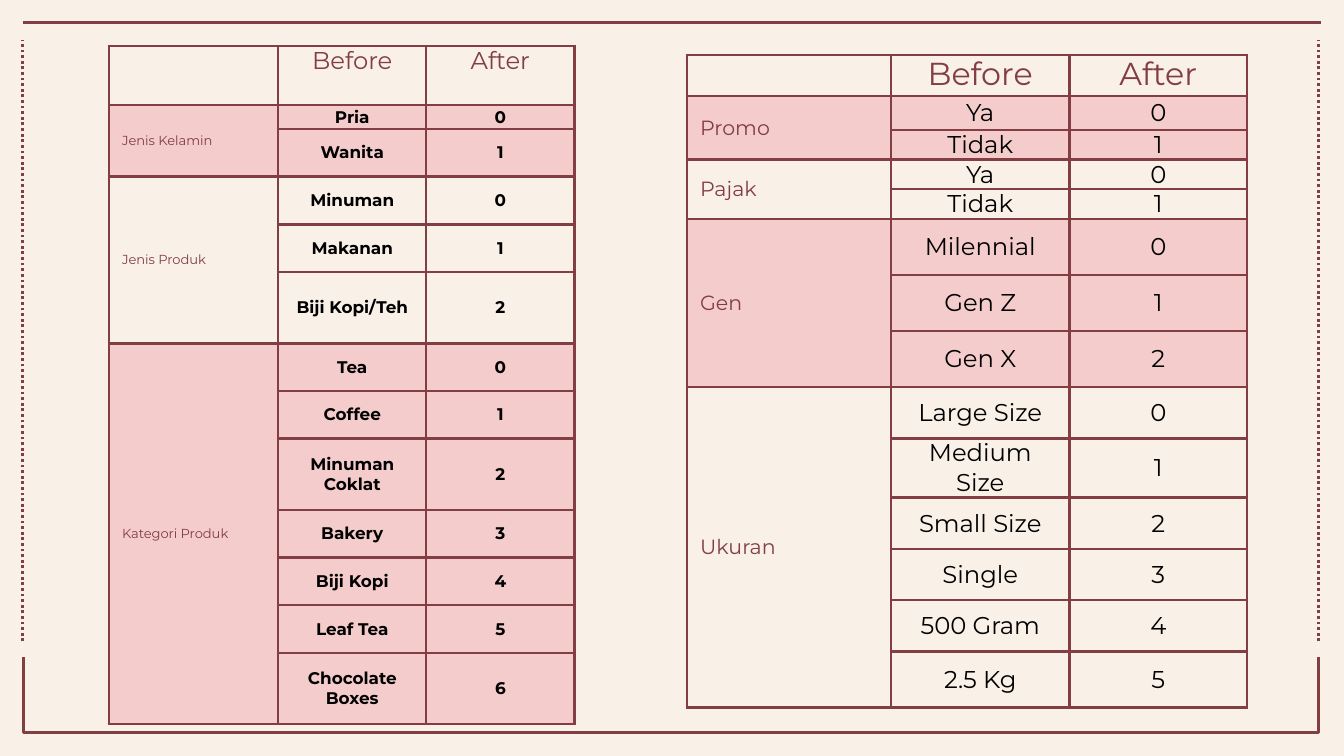
from dataclasses import dataclass

from lxml import etree
from pptx import Presentation
from pptx.dml.color import RGBColor
from pptx.enum.dml import MSO_LINE
from pptx.enum.shapes import MSO_CONNECTOR
from pptx.enum.text import MSO_ANCHOR, PP_ALIGN
from pptx.oxml.ns import qn
from pptx.slide import Slide
from pptx.table import _Cell
from pptx.util import Cm, Pt

CENTER, LEFT = PP_ALIGN.CENTER, PP_ALIGN.LEFT
TOP, MIDDLE = MSO_ANCHOR.TOP, MSO_ANCHOR.MIDDLE
STRAIGHT = MSO_CONNECTOR.STRAIGHT
DOT = MSO_LINE.ROUND_DOT
COLORS = {"paper": "F9F0E8", "wine": "823E43", "pink": "F4CCCC", "ink": "000000"}
FONT = "Montserrat"
WIDTH = 1.5
PAD = 0.25


@dataclass
class Row:
    name: str
    height: float
    pad: float = 0


@dataclass
class Group:
    label: str
    rows: list[Row]


@dataclass
class Grid:
    left: float
    top: float
    cols: list[float]
    head: float
    sizes: tuple[float, float, float]
    bold: bool
    groups: list[Group]


@dataclass
class Rule:
    start: tuple[float, float]
    end: tuple[float, float]
    dotted: bool


GRIDS = [
    Grid(0.81 * 2.54, 0.87, [3.2, 2.8, 2.8], 1.12, (13, 7, 9), True, [
        Group("Jenis Kelamin", [Row("Pria", 0.45), Row("Wanita", 0.9, PAD)]),
        Group("Jenis Produk", [
            Row("Minuman", 0.9, PAD),
            Row("Makanan", 0.9, PAD),
            Row("Biji Kopi/Teh", 1.35, PAD),
        ]),
        Group("Kategori Produk", [
            Row("Tea", 0.9, PAD),
            Row("Coffee", 0.9, PAD),
            Row("Minuman Coklat", 1.35, PAD),
            Row("Bakery", 0.9, PAD),
            Row("Biji Kopi", 0.9, PAD),
            Row("Leaf Tea", 0.9, PAD),
            Row("Chocolate Boxes", 1.35, PAD),
        ]),
    ]),
    Grid(12.98, 1.04, [3.86, 3.37, 3.36], 0.74, (17, 11, 13), False, [
        Group("Promo", [Row("Ya", 0.64), Row("Tidak", 0.54)]),
        Group("Pajak", [Row("Ya", 0.48), Row("Tidak", 0.48)]),
        Group("Gen", [
            Row(name, 0.97, PAD) for name in ("Milennial", "Gen Z", "Gen X")
        ]),
        Group("Ukuran", [
            Row("Large Size", 0.97),
            Row("Medium Size", 0.97),
            Row("Small Size", 0.97),
            Row("Single", 0.97),
            Row("500 Gram", 0.97),
            Row("2.5 Kg", 0.97, PAD),
        ]),
    ]),
]

RULES = [
    Rule((24.92, 12.12), (24.92, 0.76), True),
    Rule((0.43, 0.43), (24.97, 0.43), False),
    Rule((0.43, 12.12), (0.43, 0.76), True),
]


def color(name: str) -> RGBColor:
    return RGBColor.from_string(COLORS[name])


def draw_rule(slide: Slide, rule: Rule) -> None:
    ends = [Cm(n) for n in (*rule.start, *rule.end)]
    line = slide.shapes.add_connector(STRAIGHT, *ends)
    line.line.color.rgb = color("wine")
    line.line.width = Pt(WIDTH)
    if rule.dotted:
        line.line.dash_style = DOT
    etree.SubElement(line._element.spPr, qn("a:effectLst"))


def draw_frame(slide: Slide) -> None:
    left, top, right, base = (Cm(n) for n in (0.45, 12.42, 24.92, 13.84))
    pen = slide.shapes.build_freeform(left, top)
    pen.add_line_segments([(left, base), (right, base), (right, top)], close=False)
    frame = pen.convert_to_shape()
    frame.shadow.inherit = False
    frame.fill.background()
    frame.line.color.rgb = color("wine")
    frame.line.width = Pt(WIDTH)


def style_cell(cell: _Cell, pink: bool) -> None:
    props = cell._tc.get_or_add_tcPr()
    for side in ("L", "R", "T", "B"):
        edge = etree.SubElement(props, qn(f"a:ln{side}"), w=str(Pt(WIDTH)))
        fill = etree.SubElement(edge, qn("a:solidFill"))
        etree.SubElement(fill, qn("a:srgbClr"), val=COLORS["wine"])
    if pink:
        cell.fill.solid()
        cell.fill.fore_color.rgb = color("pink")
    else:
        cell.fill.background()
    cell.margin_left = cell.margin_right = Cm(PAD)
    cell.margin_top = cell.margin_bottom = 0


def write(cell: _Cell, text: str, size: float, tone: str, bold: bool = False,
          align: PP_ALIGN = CENTER, anchor: MSO_ANCHOR = MIDDLE,
          pad: float = 0) -> None:
    cell.text = text
    cell.vertical_anchor = anchor
    cell.margin_top = cell.margin_bottom = Cm(pad)
    para = cell.text_frame.paragraphs[0]
    para.alignment = align
    para.font.name = FONT
    para.font.size = Pt(size)
    para.font.bold = bold
    para.font.color.rgb = color(tone)


def draw_grid(slide: Slide, grid: Grid) -> None:
    tall = [grid.head] + [row.height for group in grid.groups for row in group.rows]
    table = slide.shapes.add_table(
        len(tall), len(grid.cols), Cm(grid.left), Cm(grid.top),
        Cm(sum(grid.cols)), Cm(sum(tall))).table
    table.first_row = table.horz_banding = False
    for col, width in zip(table.columns, grid.cols):
        col.width = Cm(width)
    for row, height in zip(table.rows, tall):
        row.height = Cm(height)

    big, small, body = grid.sizes
    for cell in table.rows[0].cells:
        style_cell(cell, False)
    for col, text in enumerate(("Before", "After"), 1):
        write(table.cell(0, col), text, big, "wine", anchor=TOP)

    first = 1
    for index, group in enumerate(grid.groups):
        for code, row in enumerate(group.rows):
            for cell in table.rows[first + code].cells:
                style_cell(cell, index % 2 == 0)
            for col, text in enumerate((row.name, str(code)), 1):
                write(table.cell(first + code, col), text, body, "ink",
                      bold=grid.bold, pad=row.pad)
        label = table.cell(first, 0)
        write(label, group.label, small, "wine", align=LEFT)
        label.merge(table.cell(first + len(group.rows) - 1, 0))
        first += len(group.rows)


def main() -> None:
    deck = Presentation()
    deck.slide_width, deck.slide_height = Cm(25.4), Cm(14.29)
    slide = deck.slides.add_slide(deck.slide_layouts[6])
    slide.background.fill.solid()
    slide.background.fill.fore_color.rgb = color("paper")
    draw_frame(slide)
    for rule in RULES:
        draw_rule(slide, rule)
    for grid in GRIDS:
        draw_grid(slide, grid)
    deck.save("out.pptx")


if __name__ == "__main__":
    main()
